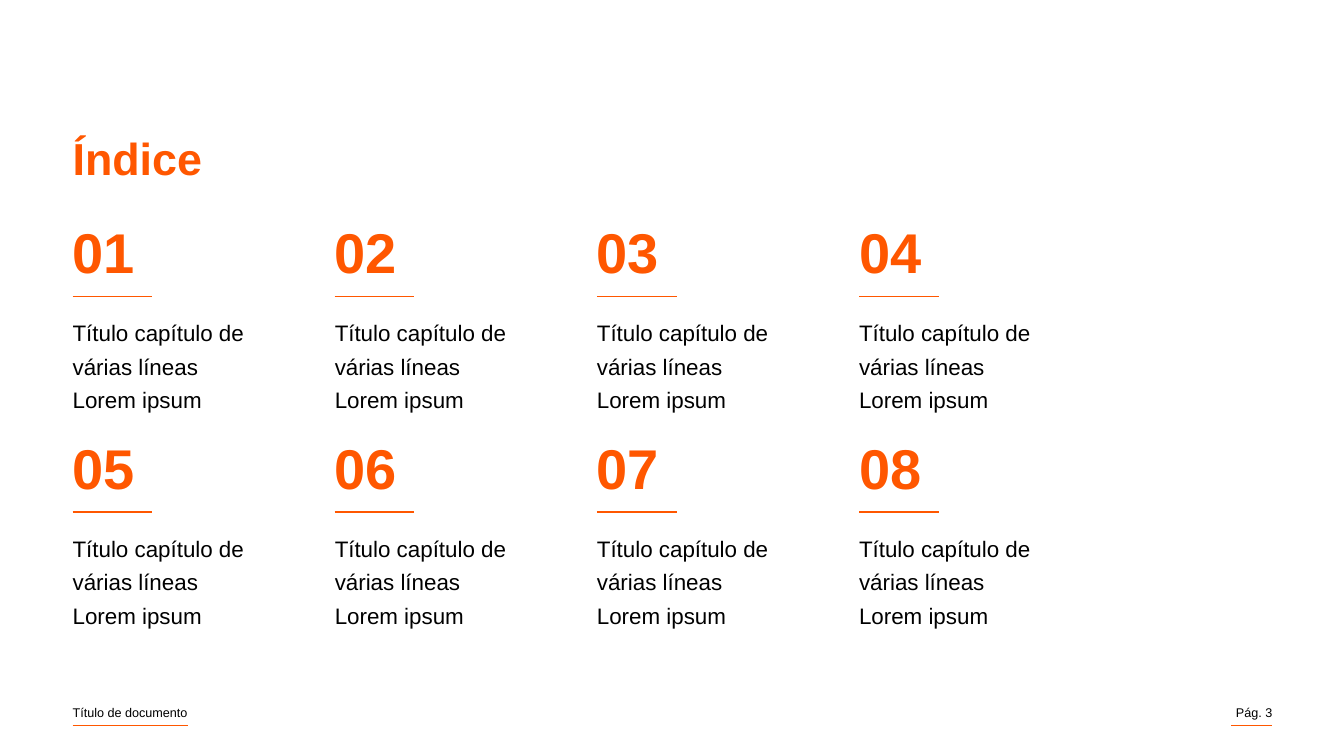
from dataclasses import dataclass

from lxml import etree
from pptx import Presentation
from pptx.dml.color import RGBColor
from pptx.enum import shapes, text
from pptx.oxml import ns
from pptx.util import Inches, Pt


@dataclass(frozen=True)
class Theme:
    font: str = "Arial"
    accent: RGBColor = RGBColor(0xFF, 0x57, 0x00)
    ink: RGBColor = RGBColor(0, 0, 0)
    title: int = 32
    number: int = 40
    body: int = 16
    footer: int = 9


THEME = Theme()
MARGIN = 0.72
CHAPTERS = ["Título capítulo de várias líneas Lorem ipsum"] * 8


def write(sp, words, size, color, bold=False, spacing=1.0,
          anchor=text.MSO_ANCHOR.TOP, align=text.PP_ALIGN.LEFT):
    """Fill a shape with one paragraph, without insets."""
    tf = sp.text_frame
    tf.margin_left = tf.margin_right = tf.margin_top = tf.margin_bottom = 0
    tf.word_wrap = True
    tf.auto_size = text.MSO_AUTO_SIZE.NONE
    tf.vertical_anchor = anchor
    p = tf.paragraphs[0]
    p.text = words
    p.alignment = align
    p.line_spacing = spacing
    p.space_before = Pt(0)
    p.font.name = THEME.font
    p.font.size = Pt(size)
    p.font.bold = bold
    p.font.color.rgb = color


def add_text(s, x, y, w, h, *args, **kwargs):
    sp = s.shapes.add_textbox(Inches(x), Inches(y), Inches(w), Inches(h))
    write(sp, *args, **kwargs)


def add_rule(s, x, y, w, weight):
    line = s.shapes.add_connector(shapes.MSO_CONNECTOR.STRAIGHT,
                                  Inches(x), Inches(y), Inches(x + w), Inches(y))
    line.line.color.rgb = THEME.accent
    line.line.width = Pt(weight)
    etree.SubElement(line._element.spPr, ns.qn("a:effectLst"))


def add_title(s, x, y, w, h):
    sp = s.shapes.title
    sp.left, sp.top, sp.width, sp.height = map(Inches, (x, y, w, h))
    write(sp, "Índice", THEME.title, THEME.accent, bold=True)


def add_chapter(s, x, y, w, number, name):
    add_text(s, x, y, 0.76, 0.54, f"{number:02}", THEME.number, THEME.accent,
             bold=True, spacing=0.8, anchor=text.MSO_ANCHOR.BOTTOM)
    add_rule(s, x, y + 0.66, 0.79, 1)
    add_text(s, x, y + 0.82, w, 0.96, name, THEME.body, THEME.ink, spacing=1.25)


def add_index(s, x, y, columns=4, column_step=2.6, row_step=2.14):
    for i, name in enumerate(CHAPTERS):
        row, column = divmod(i, columns)
        add_chapter(s, x + column * column_step, y + row * row_step, 1.92,
                    i + 1, name)


def add_footer(s, x, y, w):
    right = x + w
    middle = text.MSO_ANCHOR.MIDDLE
    add_text(s, x, y, 2.75, 0.17, "Título de documento", THEME.footer, THEME.ink,
             anchor=middle)
    add_rule(s, x, y + 0.22, 1.14, 0.5)
    add_text(s, right - 0.77, y, 0.77, 0.17, "Pág. 3", THEME.footer, THEME.ink,
             anchor=middle, align=text.PP_ALIGN.RIGHT)
    add_rule(s, right - 0.41, y + 0.22, 0.41, 0.5)


def main():
    prs = Presentation()
    prs.slide_width, prs.slide_height = Inches(13.33), Inches(7.5)
    title_only = prs.slide_layouts[5]
    s = prs.slides.add_slide(title_only)
    add_title(s, MARGIN, 1.3, 2.06, 0.54)
    add_index(s, MARGIN, 2.28)
    add_footer(s, MARGIN, 6.98, 11.9)
    prs.save("out.pptx")


if __name__ == "__main__":
    main()
